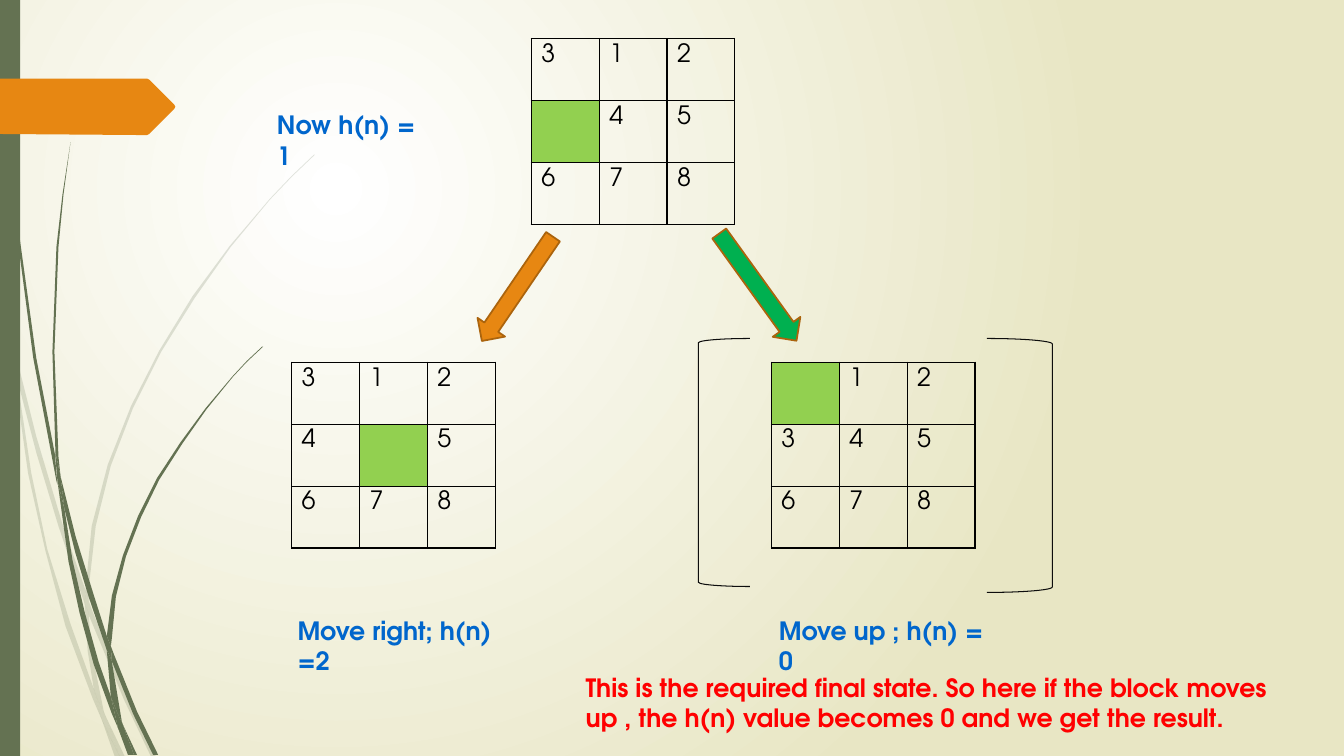
from lxml.etree import SubElement
from pptx import Presentation
from pptx.dml.color import RGBColor
from pptx.enum.shapes import MSO_SHAPE
from pptx.oxml.ns import qn
from pptx.util import Cm, Pt

FONT = "TeX Gyre Adventor"
OLIVE, ORANGE, RUST, INK = "647252", "E78712", "AB640D", "0D0D0D"
BLUE, RED, LIME, GREEN, BLACK = "0066CC", "FF0000", "92D050", "00B050", "000000"
CELL_W, CELL_H = 1.71, 1.56
GRID = Cm(0.0254)

BOARDS = [
    ("312 45678", 13.39, 0.97),
    (" 12345678", 19.44, 9.13),
    ("3124 5678", 7.35, 9.13),
]
LABELS = [
    ("Move up ; h(n) = 0", 19.38, 15.37, 5.9, 1.02, BLUE),
    ("Move right; h(n) =2", 7.25, 15.37, 6.1, 1.02, BLUE),
    ("Now h(n) = 1", 6.73, 2.64, 4.2, 1.02, BLUE),
    ("This is the required final state. So here if the block moves "
     "up , the h(n) value becomes 0 and we get the result.", 14.51, 16.82, 18.31, 1.8, RED),
]
MOVES = [
    (MSO_SHAPE.DOWN_ARROW, 18.67, 5.57, 0.86, 3.33,
     dict(fill=GREEN, line=RUST, width=1.25, rotation=324.2)),
    (MSO_SHAPE.DOWN_ARROW, 12.62, 5.69, 0.84, 3.18,
     dict(fill=ORANGE, line=RUST, width=1.25, rotation=34.3)),
    (MSO_SHAPE.LEFT_BRACKET, 17.6, 8.53, 1.3, 6.25, dict(line=INK)),
    (MSO_SHAPE.RIGHT_BRACKET, 24.87, 8.53, 1.65, 6.4, dict(line=INK)),
]
FAINT_BLADES = [
    [(11, 350), (9, 322), (0, 282), (0, 299), (10, 344)],
    [(58, 522), (84, 599), (85, 586), (62, 520), (36, 433), (14, 345), (17, 376), (36, 449)],
    [(92, 607), (88, 596), (88, 610), (123, 694), (150, 751), (155, 751), (127, 692)],
    [(119, 751), (124, 751), (105, 711)],
    [(93, 683), (70, 619), (47, 545), (31, 469), (17, 376), (11, 350), (28, 470), (45, 546),
     (65, 621), (92, 693), (101, 714), (99, 707)],
    [(84, 599), (87, 646), (93, 683), (96, 692), (105, 711), (103, 706), (91, 646),
     (88, 610), (88, 608)],
    [(88, 584), (95, 522), (110, 462), (132, 405), (160, 349), (193, 296), (229, 245),
     (268, 198), (290, 175), (312, 154), (312, 153), (289, 175), (268, 197), (228, 244),
     (191, 294), (158, 348), (130, 403), (107, 461), (91, 522), (85, 584), (85, 586),
     (88, 596)],
    [(101, 714), (114, 751), (119, 751)],
    [(88, 608), (88, 610), (88, 596), (85, 586), (84, 599)],
    [(96, 692), (93, 683), (99, 707), (101, 714), (119, 751), (105, 711)],
]
BLADES = [
    [(7, 110), (17, 233), (33, 355), (56, 477), (57, 481), (55, 457), (55, 453), (36, 355),
     (19, 232), (8, 109), (5, 48), (4, 0), (3, 0), (4, 48)],
    [(88, 592), (106, 645), (106, 633), (106, 631), (93, 590), (75, 532), (60, 472),
     (64, 505), (75, 549)],
    [(113, 649), (110, 641), (111, 656), (132, 708), (152, 749), (157, 749), (136, 706)],
    [(110, 691), (98, 657), (84, 607), (72, 556), (64, 505), (57, 477), (68, 557), (79, 608),
     (93, 659), (111, 708), (117, 722), (116, 717)],
    [(60, 472), (58, 453), (54, 349), (58, 245), (63, 193), (70, 141), (62, 193),
     (56, 245), (52, 349), (55, 449)],
    [(133, 749), (136, 749), (122, 719)],
    [(57, 477), (64, 505), (60, 472), (55, 449), (55, 453)],
    [(111, 633), (115, 592), (125, 552), (140, 513), (158, 476), (181, 440), (205, 406),
     (231, 374), (245, 359), (261, 344), (260, 344), (245, 358), (231, 373), (204, 405),
     (179, 439), (156, 474), (137, 512), (122, 551), (111, 591), (106, 631), (110, 641)],
    [(117, 722), (127, 749), (131, 749)],
    [(106, 645), (110, 691), (116, 706), (122, 719), (121, 716), (111, 656), (109, 651)],
    [(106, 645), (109, 651), (111, 656), (110, 641), (106, 631), (106, 633)],
    [(116, 706), (110, 691), (116, 717), (117, 722), (130, 749), (133, 749), (122, 719)],
]
PAGE_TAB = [(173, 108), (148, 133), (146, 134), (136, 134), (0, 133), (0, 78),
            (136, 78), (146, 78), (148, 79), (173, 104), (174, 106)]


def color(value):
    return RGBColor.from_string(value)


def paint(sp, fill=None, line=None, width=0.75, rotation=0):
    sp.shadow.inherit = False
    sp.rotation = rotation
    if fill:
        sp.fill.solid()
        sp.fill.fore_color.rgb = color(fill)
    else:
        sp.fill.background()
    if line:
        sp.line.color.rgb = color(line)
        sp.line.width = Pt(width)
    else:
        sp.line.fill.background()


def write(tf, text, bold=False, fill=BLACK):
    r = tf.paragraphs[0].add_run()
    r.text = text
    r.font.name, r.font.size, r.font.bold = FONT, Pt(18), bold
    r.font.color.rgb = color(fill)


def add_outline(points, fill, opacity=100):
    builder = s.shapes.build_freeform(*points[0], scale=GRID)
    builder.add_line_segments(points[1:], close=True)
    sp = builder.convert_to_shape()
    paint(sp, fill=fill)
    if opacity < 100:
        clr = sp._element.spPr.find(qn("a:solidFill"))[0]
        SubElement(clr, qn("a:alpha"), val=str(opacity * 1000))


def add_preset(kind, x, y, w, h, style):
    paint(s.shapes.add_shape(kind, Cm(x), Cm(y), Cm(w), Cm(h)), **style)


def add_board(tiles, x, y):
    table = s.shapes.add_table(3, 3, Cm(x), Cm(y), Cm(3 * CELL_W), Cm(3 * CELL_H)).table
    table.first_row = table.horz_banding = False
    for i in range(3):
        table.columns[i].width, table.rows[i].height = Cm(CELL_W), Cm(CELL_H)
    for cell, tile in zip(table.iter_cells(), tiles):
        tcPr = cell._tc.get_or_add_tcPr()
        for side in "LRTB":
            ln = SubElement(tcPr, qn("a:ln" + side), w=str(Pt(1)))
            SubElement(SubElement(ln, qn("a:solidFill")), qn("a:srgbClr"), val=BLACK)
        if tile == " ":
            cell.fill.solid()
            cell.fill.fore_color.rgb = color(LIME)
        else:
            cell.fill.background()
            write(cell.text_frame, tile)


def set_background(inner, outer):
    fill = s.background.fill
    fill.gradient()
    for stop, value, position in zip(fill.gradient_stops, (inner, outer), (0, 1)):
        stop.color.rgb = color(value)
        stop.position = position
    grad = s._element.find(".//" + qn("a:gradFill"))
    grad.remove(grad.find(qn("a:lin")))
    circle = SubElement(grad, qn("a:path"), path="circle")
    SubElement(circle, qn("a:fillToRect"), l="50000", t="50000", r="100000", b="100000")


prs = Presentation()
prs.slide_width, prs.slide_height = Cm(33.87), Cm(19.05)
s = prs.slides.add_slide(prs.slide_layouts[6])
set_background("FFFFFF", "E8E6C4")
for blade in FAINT_BLADES:
    add_outline(blade, OLIVE, opacity=20)
for blade in BLADES:
    add_outline(blade, OLIVE)
add_preset(MSO_SHAPE.RECTANGLE, 0, 0, 0.51, 19.05, dict(fill=OLIVE))
add_outline(PAGE_TAB, ORANGE)
for board in BOARDS:
    add_board(*board)
for move in MOVES:
    add_preset(*move)
for text, x, y, w, h, fill in LABELS:
    tf = s.shapes.add_textbox(Cm(x), Cm(y), Cm(w), Cm(h)).text_frame
    tf.word_wrap = True
    write(tf, text, bold=True, fill=fill)
prs.save("out.pptx")
